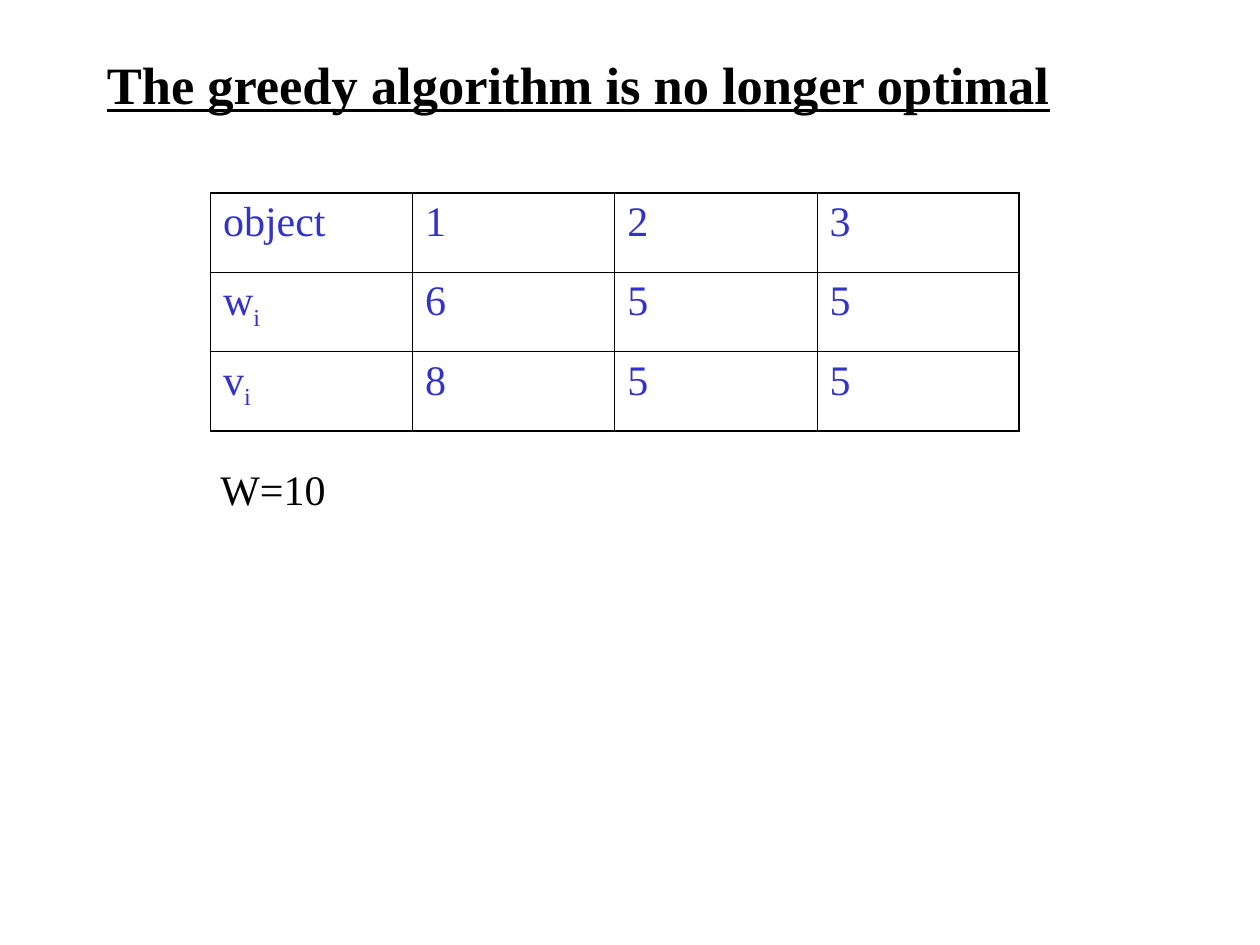
"""Build the slide showing a knapsack instance where the greedy algorithm fails."""
from dataclasses import dataclass

from lxml.etree import SubElement
from pptx import Presentation
from pptx.dml.color import RGBColor
from pptx.enum.text import MSO_ANCHOR as Anchor, MSO_AUTO_SIZE as AutoSize
from pptx.oxml.ns import qn
from pptx.util import Inches, Pt

COLORS = {"text": "000000", "table": "3333CC", "border": "000000"}
FONT = "Times New Roman"
OUTER_BORDER, INNER_BORDER = 1.08, 0.45
OBJECTS = [
    ("object", "1", "2", "3"),
    ("w_i", "6", "5", "5"),
    ("v_i", "8", "5", "5"),
]


@dataclass
class Label:
    text: str
    left: float
    top: float
    width: float
    height: float
    size: int
    bold: bool = False
    underline: bool = False
    wrap: bool = True
    anchor: Anchor = Anchor.TOP


def write_text(frame, text: str, *, size: int, color: str,
               bold: bool = False, underline: bool = False) -> None:
    """Write text, setting whatever follows an underscore as a subscript."""
    base, _, subscript = text.partition("_")
    paragraph = frame.paragraphs[0]
    for part, baseline in ((base, None), (subscript, "-25000")):
        if not part:
            continue
        run = paragraph.add_run()
        run.text = part
        font = run.font
        font.name, font.size = FONT, Pt(size)
        font.bold, font.underline = bold, underline
        font.color.rgb = RGBColor.from_string(COLORS[color])
        if baseline:
            run._r.get_or_add_rPr().set("baseline", baseline)


def draw_label(slide, label: Label) -> None:
    """Draw one text box."""
    box = slide.shapes.add_textbox(Inches(label.left), Inches(label.top),
                                   Inches(label.width), Inches(label.height))
    frame = box.text_frame
    frame.word_wrap = label.wrap
    frame.vertical_anchor = label.anchor
    if not label.wrap:
        frame.auto_size = AutoSize.SHAPE_TO_FIT_TEXT
    write_text(frame, label.text, size=label.size, color="text",
               bold=label.bold, underline=label.underline)


def draw_borders(cell, outer_sides: dict[str, bool]) -> None:
    """Line each side of a cell, heavier on the outside of the table."""
    properties = cell._tc.get_or_add_tcPr()
    for side, is_outer in outer_sides.items():
        width = Pt(OUTER_BORDER if is_outer else INNER_BORDER)
        line = SubElement(properties, qn(f"a:ln{side}"), w=str(width))
        fill = SubElement(line, qn("a:solidFill"))
        SubElement(fill, qn("a:srgbClr"), val=COLORS["border"])


def draw_objects_table(slide, left: float, top: float,
                       width: float, height: float) -> None:
    """Draw the table of object weights and values."""
    row_count, column_count = len(OBJECTS), len(OBJECTS[0])
    table = slide.shapes.add_table(
        row_count, column_count, Inches(left), Inches(top),
        Inches(width), Inches(height)).table
    table.first_row = table.horz_banding = False
    for row, values in enumerate(OBJECTS):
        for column, value in enumerate(values):
            cell = table.cell(row, column)
            write_text(cell.text_frame, value, size=24, color="table")
            draw_borders(cell, {"L": column == 0, "R": column == column_count - 1,
                                "T": row == 0, "B": row == row_count - 1})
            cell.fill.background()


def main() -> None:
    """Build and save the slide."""
    deck = Presentation()
    deck.slide_width, deck.slide_height = Inches(10), Inches(7.5)
    slide = deck.slides.add_slide(deck.slide_layouts[6])
    draw_label(slide, Label("The greedy algorithm is no longer optimal",
                            0.75, 0.33, 8.58, 0.67, 30, bold=True,
                            underline=True, anchor=Anchor.MIDDLE))
    draw_objects_table(slide, 1.67, 1.53, 6.42, 1.89)
    draw_label(slide, Label("W=10", 1.65, 3.63, 1.05, 0.5, 24, wrap=False))
    deck.save("out.pptx")


if __name__ == "__main__":
    main()
